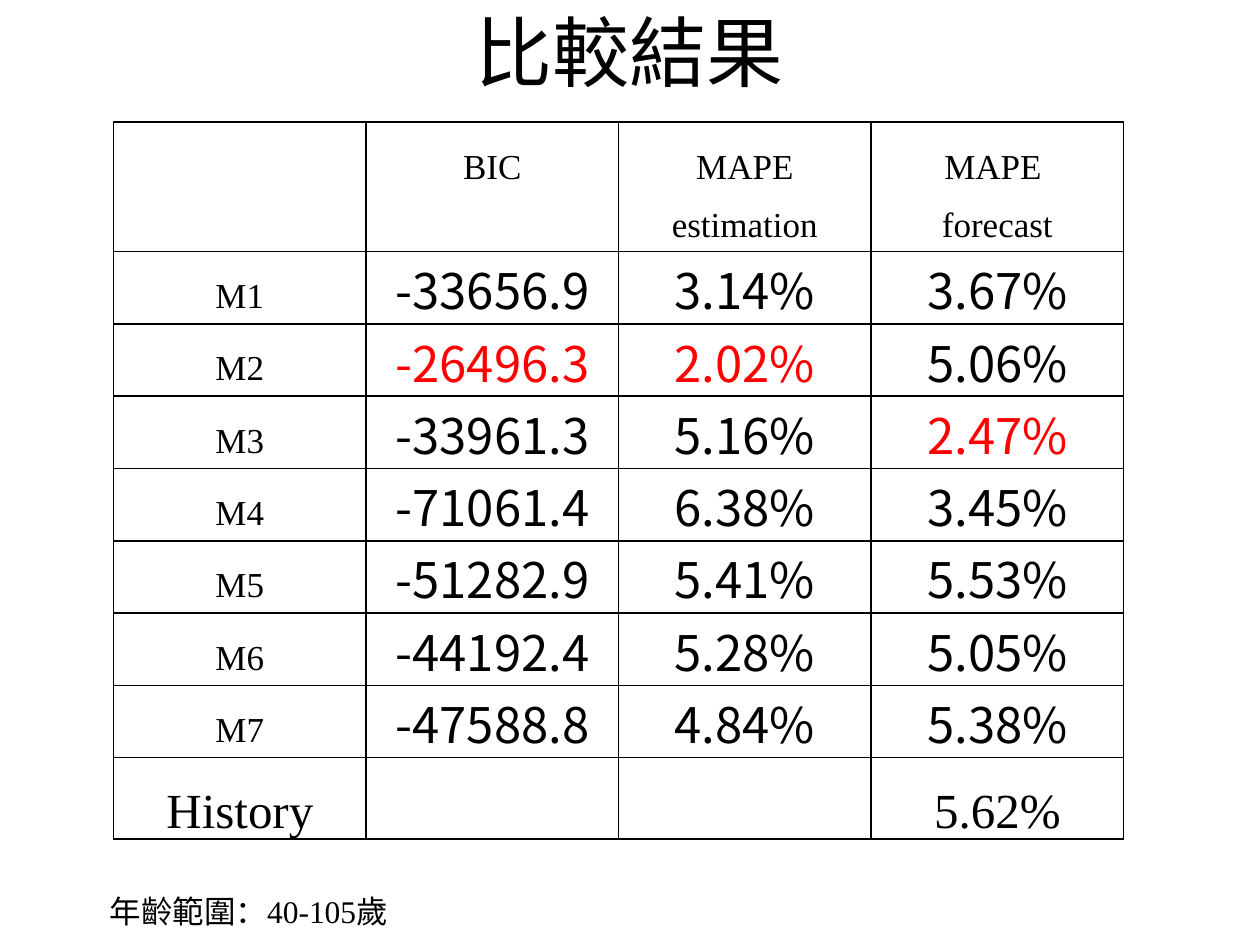
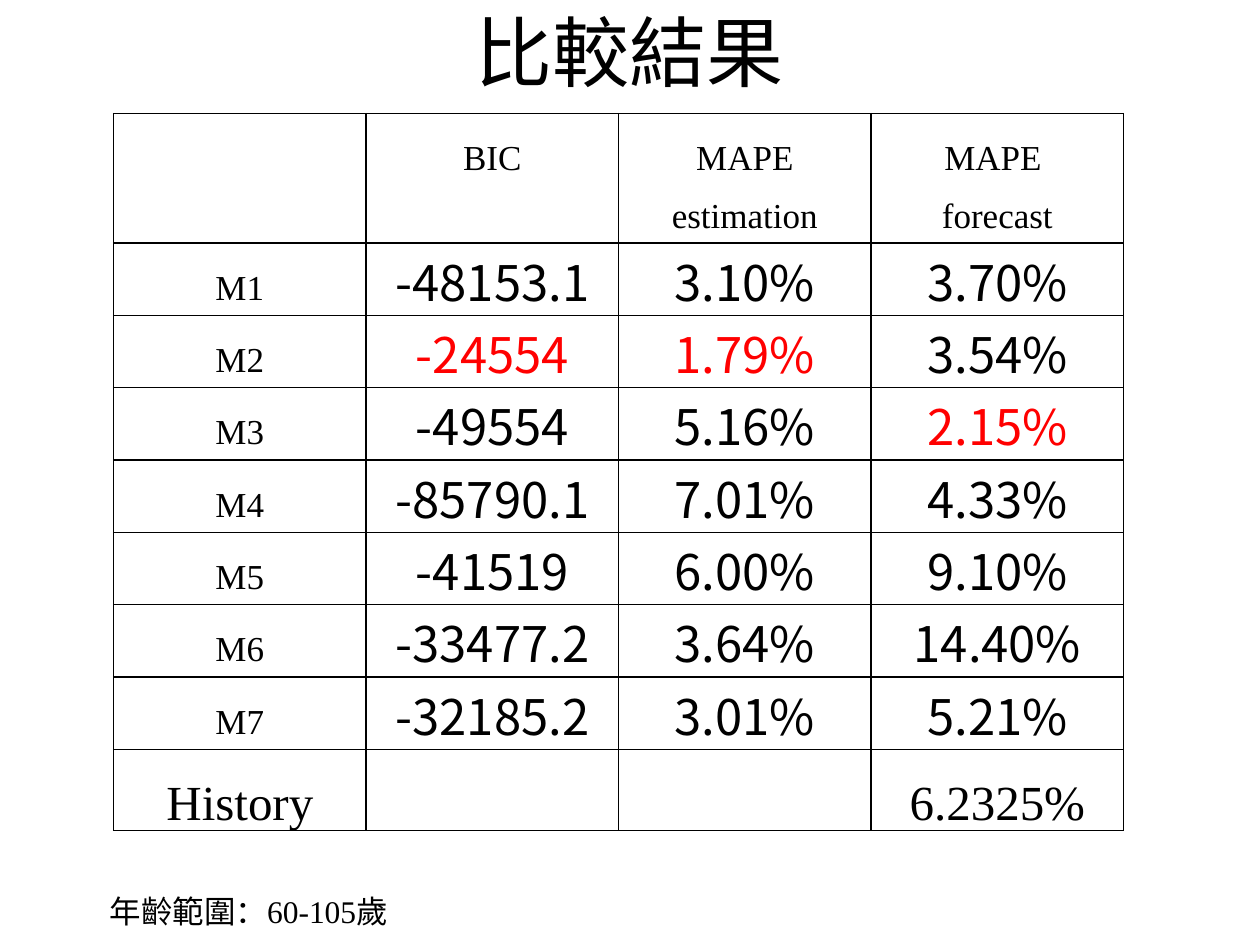
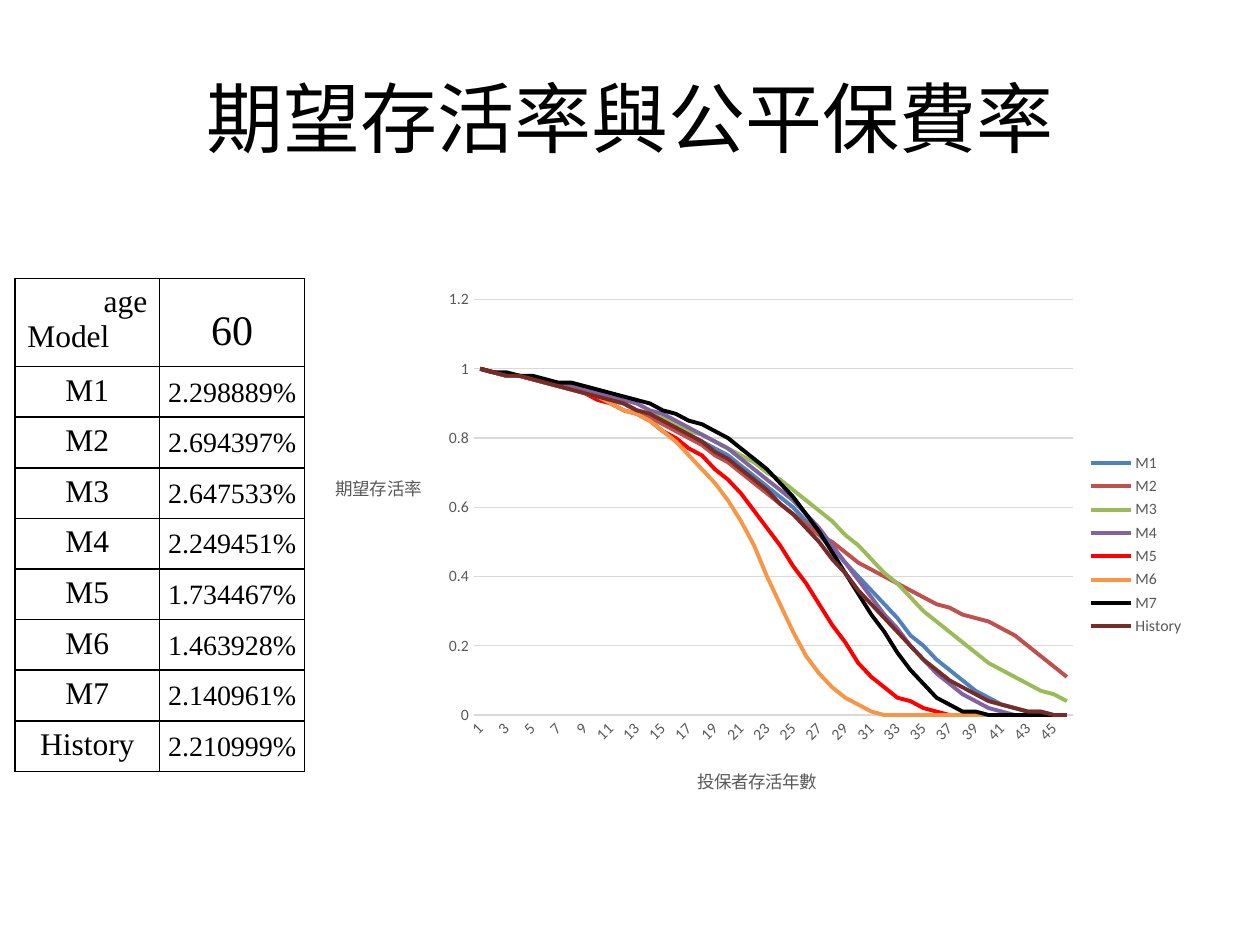
from dataclasses import dataclass

from lxml import etree
from pptx import Presentation
from pptx.chart.data import CategoryChartData
from pptx.dml.color import RGBColor
from pptx.enum.chart import XL_CHART_TYPE, XL_LEGEND_POSITION, XL_TICK_MARK
from pptx.enum.text import MSO_ANCHOR, MSO_AUTO_SIZE, PP_ALIGN
from pptx.oxml.ns import qn
from pptx.util import Cm, Pt

LEFT, CENTER, RIGHT = PP_ALIGN.LEFT, PP_ALIGN.CENTER, PP_ALIGN.RIGHT
TOP, MIDDLE = MSO_ANCHOR.TOP, MSO_ANCHOR.MIDDLE
FIT_SHAPE = MSO_AUTO_SIZE.SHAPE_TO_FIT_TEXT
LINE_CHART = XL_CHART_TYPE.LINE
LEGEND_RIGHT = XL_LEGEND_POSITION.RIGHT
NO_TICKS = XL_TICK_MARK.NONE

BLACK, RED, GRAY, GRID = "000000", "FF0000", "595959", "D9D9D9"
SERIF, SANS, HAN = "Times New Roman", "Noto Sans CJK TC", "Noto Sans CJK SC"
CHART_FONT = "Calibri"
MODELS = ["M1", "M2", "M3", "M4", "M5", "M6", "M7", "History"]


@dataclass(frozen=True)
class Style:
    size: float
    font: str = SERIF
    color: str = BLACK
    align: PP_ALIGN = CENTER
    spacing: float | None = None


@dataclass(frozen=True)
class Entry:
    """A table cell: its lines, their style, and the placing of the text."""
    lines: tuple[str, ...]
    style: Style
    anchor: MSO_ANCHOR = TOP
    margins: tuple[float, float, float, float] = (0.25, 0.13, 0.25, 0.13)


@dataclass(frozen=True)
class Comparison:
    ages: str
    table_top: float
    history_height: float
    rows: list[tuple[str, str, str]]
    history: str


@dataclass(frozen=True)
class Curve:
    """Survival in percent at every fifth year, from year 1 to year 46."""
    model: str
    color: str
    knots: list[int]


TITLE = Style(44, HAN)
NOTE = Style(18, align=LEFT)
LABEL = Style(20, spacing=1.5)
HISTORY = Style(28, spacing=1.5)
TIGHT = (0.03, 0.03, 0.03, 0)
FLUSH = (0.17, 0, 0.17, 0)
BEST = {("M2", 0), ("M2", 1), ("M3", 2)}
KNOT_STEP = 5

COMPARISONS = [
    Comparison("40-105", 2.46, 1.42, [
        ("-33656.9", "3.14%", "3.67%"),
        ("-26496.3", "2.02%", "5.06%"),
        ("-33961.3", "5.16%", "2.47%"),
        ("-71061.4", "6.38%", "3.45%"),
        ("-51282.9", "5.41%", "5.53%"),
        ("-44192.4", "5.28%", "5.05%"),
        ("-47588.8", "4.84%", "5.38%"),
    ], "5.62%"),
    Comparison("60-105", 2.29, 1.32, [
        ("-48153.1", "3.10%", "3.70%"),
        ("-24554", "1.79%", "3.54%"),
        ("-49554", "5.16%", "2.15%"),
        ("-85790.1", "7.01%", "4.33%"),
        ("-41519", "6.00%", "9.10%"),
        ("-33477.2", "3.64%", "14.40%"),
        ("-32185.2", "3.01%", "5.21%"),
    ], "6.2325%"),
]

PREMIUMS = ["2.298889%", "2.694397%", "2.647533%", "2.249451%",
            "1.734467%", "1.463928%", "2.140961%", "2.210999%"]

CURVES = [
    Curve("M1", "4F81BD", [100, 96, 91, 83, 72, 56, 36, 16, 3, 0]),
    Curve("M2", "C0504D", [100, 96, 91, 82, 70, 55, 42, 32, 25, 11]),
    Curve("M3", "9BBB59", [100, 96, 91, 84, 75, 62, 45, 27, 13, 4]),
    Curve("M4", "8064A2", [100, 96, 92, 85, 74, 58, 34, 12, 1, 0]),
    Curve("M5", RED, [100, 96, 90, 80, 64, 38, 11, 1, 0, 0]),
    Curve("M6", "F79646", [100, 96, 90, 79, 56, 17, 1, 0, 0, 0]),
    Curve("M7", BLACK, [100, 97, 93, 87, 77, 58, 29, 5, 0, 0]),
    Curve("History", "772C2A", [100, 96, 91, 83, 71, 54, 32, 13, 3, 0]),
]


def rgb(color: str) -> RGBColor:
    return RGBColor.from_string(color)


def set_font(font, size: float, name: str, color: str) -> None:
    font.size, font.name, font.bold = Pt(size), name, False
    font.color.rgb = rgb(color)


def write(paragraph, text: str, style: Style) -> None:
    paragraph.alignment = style.align
    if style.spacing:
        paragraph.line_spacing = style.spacing
    run = paragraph.add_run()
    run.text = text
    set_font(run.font, style.size, style.font, style.color)
    east_asian = style.font if style.font == SANS else HAN
    etree.SubElement(run._r.get_or_add_rPr(), qn("a:ea"), typeface=east_asian)


def add_slide(deck, heading: str, top: float, style: Style = TITLE):
    slide = deck.slides.add_slide(deck.slide_layouts[5])
    title = slide.shapes.title
    title.left, title.top = Cm(1.27), Cm(top)
    title.width, title.height = Cm(22.86), Cm(3.18)
    title.text_frame.vertical_anchor = MIDDLE
    write(title.text_frame.paragraphs[0], heading, style)
    return slide


# Tables
def outline(cell) -> None:
    properties = cell._tc.get_or_add_tcPr()
    for position, side in enumerate(("a:lnL", "a:lnR", "a:lnT", "a:lnB")):
        border = etree.Element(qn(side), w=str(Pt(1)))
        fill = etree.SubElement(border, qn("a:solidFill"))
        etree.SubElement(fill, qn("a:srgbClr"), val=BLACK)
        properties.insert(position, border)


def fill_cell(cell, entry: Entry | None) -> None:
    cell.fill.background()
    outline(cell)
    if entry is None:
        return
    cell.vertical_anchor = entry.anchor
    (cell.margin_left, cell.margin_top, cell.margin_right,
     cell.margin_bottom) = map(Cm, entry.margins)
    for number, line in enumerate(entry.lines):
        frame = cell.text_frame
        paragraph = frame.add_paragraph() if number else frame.paragraphs[0]
        write(paragraph, line, entry.style)


def add_grid(slide, left: float, top: float, column_width: float,
             heights: list[float], rows: list[list[Entry | None]]):
    columns = len(rows[0])
    frame = slide.shapes.add_table(
        len(rows), columns, Cm(left), Cm(top),
        Cm(column_width * columns), Cm(sum(heights)))
    table = frame.table
    table.first_row = table.horz_banding = False
    for row, height, entries in zip(table.rows, heights, rows):
        row.height = Cm(height)
        for cell, entry in zip(row.cells, entries):
            fill_cell(cell, entry)
    return table


def build_comparison(deck, comparison: Comparison) -> None:
    slide = add_slide(deck, "比較結果", -0.56)
    rows = [[None, Entry(("BIC",), LABEL), Entry(("MAPE estimation",), LABEL),
             Entry(("MAPE ", "forecast"), LABEL)]]
    for model, scores in zip(MODELS, comparison.rows):
        row = [Entry((model,), LABEL)]
        for column, score in enumerate(scores):
            color = RED if (model, column) in BEST else BLACK
            row.append(Entry((score,), Style(28, SANS, color), MIDDLE, TIGHT))
        rows.append(row)
    rows.append([Entry(("History",), HISTORY, TOP, FLUSH), None, None,
                 Entry((comparison.history,), HISTORY, MIDDLE, FLUSH)])
    heights = [1.32] * len(MODELS) + [comparison.history_height]
    add_grid(slide, 2.29, comparison.table_top, 5.09, heights, rows)

    # Age range below the table
    note = slide.shapes.add_textbox(Cm(1.96), Cm(17.86), Cm(7.67), Cm(1.02))
    note.text_frame.word_wrap = True
    note.text_frame.auto_size = FIT_SHAPE
    write(note.text_frame.paragraphs[0], f"年齡範圍：{comparison.ages}歲", NOTE)


# Survival chart
def survival_rates(knots: list[int]) -> list[float]:
    """Join the knots by a smooth cubic and give one rate for each year."""
    padded = [2 * knots[0] - knots[1], *knots, 2 * knots[-1] - knots[-2]]
    rates = []
    for before, start, end, after in zip(padded, knots, knots[1:], padded[3:]):
        slope_in, slope_out = (end - before) / 2, (after - start) / 2
        for step in range(KNOT_STEP):
            t = step / KNOT_STEP
            percent = (start + slope_in * t
                       + (3 * (end - start) - 2 * slope_in - slope_out) * t**2
                       + (2 * (start - end) + slope_in + slope_out) * t**3)
            rates.append(round(max(percent, 0) / 100, 2))
    return rates + [knots[-1] / 100]


def place(owner, index: int, inner: bool = False, **fractions: float) -> None:
    """Give a chart part a fixed place, in fractions of the chart."""
    for old in owner.findall(qn("c:layout")):
        owner.remove(old)
    layout = etree.Element(qn("c:layout"))
    manual = etree.SubElement(layout, qn("c:manualLayout"))
    settings = {"layoutTarget": "inner"} if inner else {}
    settings |= {"xMode": "edge", "yMode": "edge"} | fractions
    for tag, value in settings.items():
        etree.SubElement(manual, qn(f"c:{tag}"), val=str(value))
    owner.insert(index, layout)


def style_axis(axis, heading: str, x: float, y: float) -> None:
    axis.major_tick_mark = axis.minor_tick_mark = NO_TICKS
    set_font(axis.tick_labels.font, 9, CHART_FONT, GRAY)
    frame = axis.axis_title.text_frame
    write(frame.paragraphs[0], heading, Style(10, CHART_FONT, GRAY))
    frame._txBody.find(qn("a:bodyPr")).set("rot", "0")
    place(axis.axis_title._element, 1, x=x, y=y)


def add_survival_chart(slide) -> None:
    data = CategoryChartData()
    years_shown = KNOT_STEP * (len(CURVES[0].knots) - 1) + 1
    data.categories = [str(year + 1) for year in range(years_shown)]
    for curve in CURVES:
        data.add_series(curve.model, survival_rates(curve.knots))
    chart = slide.shapes.add_chart(
        LINE_CHART, Cm(6.35), Cm(5.61), Cm(17.78), Cm(10.74), data).chart
    chart.has_title = False
    set_font(chart.font, 10, CHART_FONT, BLACK)
    chart.has_legend = True
    chart.legend.position = LEGEND_RIGHT
    chart.legend.include_in_layout = False
    set_font(chart.legend.font, 9, CHART_FONT, GRAY)
    chart.plots[0].vary_by_categories = False
    for series, curve in zip(chart.plots[0].series, CURVES):
        series.smooth = False
        series.format.line.width = Pt(2.25)
        series.format.line.color.rgb = rgb(curve.color)

    years, rates = chart.category_axis, chart.value_axis
    style_axis(years, "投保者存活年數", 0.43, 0.91)
    style_axis(rates, "期望存活率", 0.02, 0.36)
    years._element.find(qn("c:txPr")).find(qn("a:bodyPr")).set("rot", "-2700000")
    rates.minimum_scale, rates.maximum_scale, rates.major_unit = 0, 1.2, 0.2
    rates.tick_labels.number_format = "General"
    rates.tick_labels.number_format_is_linked = False
    rates.format.line.fill.background()
    for line in (years.format.line, rates.major_gridlines.format.line):
        line.width = Pt(0.75)
        line.color.rgb = rgb(GRID)
    plot_area = chart._chartSpace.chart.plotArea
    place(plot_area, 0, inner=True, x=0.18, y=0.04, w=0.68, h=0.78)


def build_premiums(deck) -> None:
    slide = add_slide(deck, "期望存活率與公平保費率", 0.76, Style(44))
    corner = Entry(("age", "Model"), Style(18, align=RIGHT))
    rows = [[corner, Entry(("60",), Style(24, spacing=1.5))]]
    for model, premium in zip(MODELS, PREMIUMS):
        rows.append([Entry((model,), Style(18)),
                     Entry((premium,), Style(16), MIDDLE, TIGHT)])
    heights = [1.78] + [1.02] * len(MODELS)
    table = add_grid(slide, 0.3, 5.61, 2.92, heights, rows)
    table.cell(0, 0).text_frame.paragraphs[1].alignment = LEFT
    add_survival_chart(slide)


def main() -> None:
    deck = Presentation()
    deck.slide_width, deck.slide_height = Cm(25.4), Cm(19.05)
    for comparison in COMPARISONS:
        build_comparison(deck, comparison)
    build_premiums(deck)
    deck.save("out.pptx")


if __name__ == "__main__":
    main()
